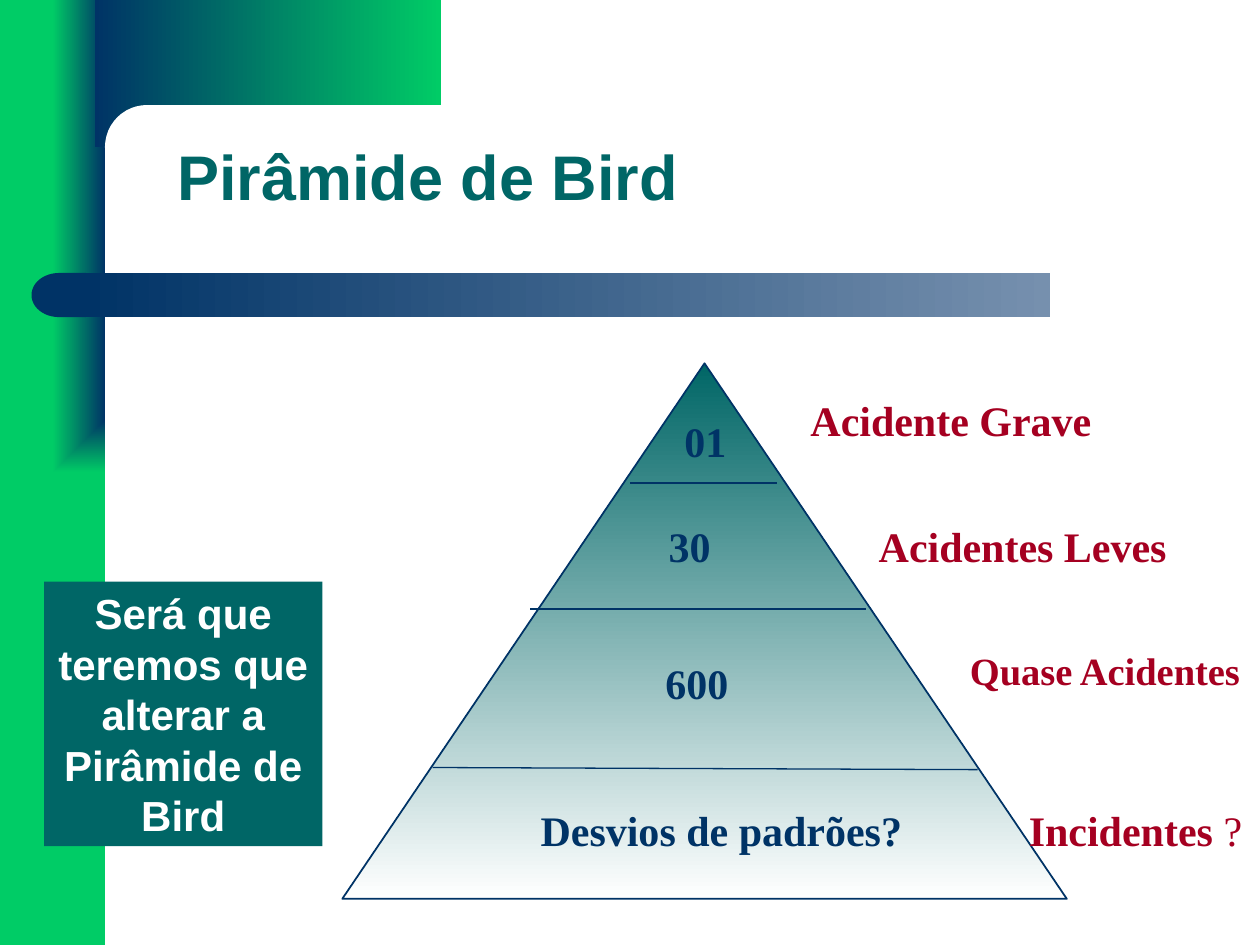
from lxml import etree
from pptx import Presentation
from pptx.dml.color import RGBColor
from pptx.enum.shapes import MSO_CONNECTOR, MSO_SHAPE
from pptx.enum.text import MSO_ANCHOR, PP_ALIGN
from pptx.oxml.ns import qn
from pptx.util import Inches, Pt

CENTER, LEFT = PP_ALIGN.CENTER, PP_ALIGN.LEFT
TOP, MIDDLE, BOTTOM = MSO_ANCHOR.TOP, MSO_ANCHOR.MIDDLE, MSO_ANCHOR.BOTTOM
RECT, ROUND = MSO_SHAPE.RECTANGLE, MSO_SHAPE.ROUNDED_RECTANGLE
DELAY, TRIANGLE = MSO_SHAPE.FLOWCHART_DELAY, MSO_SHAPE.ISOSCELES_TRIANGLE
STRAIGHT = MSO_CONNECTOR.STRAIGHT

COLORS = {
    "navy": "003366", "green": "00CC66", "teal": "006666",
    "white": "FFFFFF", "mist": "7690AE", "red": "A50021",
}
COLUMNS, ROWS = 120, 90
CELL = Inches(10) // COLUMNS

LEVELS = [
    {"number": ("01", 32, 5, 8), "label": ("Acidente Grave", 44, 3, 34),
     "line": (28, 12, 42, 12)},
    {"number": ("30", 30.5, 15, 8), "label": ("Acidentes Leves", 50.5, 15, 34),
     "line": (18.5, 24, 50.5, 24)},
    {"number": ("600", 30.2, 28, 9.4), "label": ("Quase Acidentes", 59.2, 27, 28.8),
     "line": (9.2, 39.1, 61.1, 39.3), "size": 22},
    {"number": ("Desvios de padrões?", 18.3, 42, 38),
     "label": ("Incidentes ", 64.8, 42, 23.2), "tail": "?"},
]


def color(name):
    """Return the named colour."""
    return RGBColor.from_string(COLORS[name])


def cells(*counts):
    """Turn grid counts into lengths."""
    return [round(count * CELL) for count in counts]


def within(box, left, top, width, height):
    """Place an area, counted in cells, relative to the corner of a box."""
    return cells(box[0] + left, box[1] + top, width, height)


def add_block(page, kind, area, fill, angle=0):
    """Add a borderless shape with a solid fill or a pair of gradient colours."""
    block = page.shapes.add_shape(kind, *area)
    block.shadow.inherit = False
    block.line.fill.background()
    if isinstance(fill, str):
        block.fill.solid()
        block.fill.fore_color.rgb = color(fill)
    else:
        block.fill.gradient()
        block.fill.gradient_angle = angle
        for stop, name in zip(block.fill.gradient_stops, fill):
            stop.color.rgb = color(name)
    return block


def fade_from_corner(block):
    """Make a gradient spread from the top right corner."""
    linear = block.element.spPr.find(".//" + qn("a:lin"))
    gradient = linear.getparent()
    gradient.remove(linear)
    route = etree.SubElement(gradient, qn("a:path"), {"path": "rect"})
    etree.SubElement(route, qn("a:fillToRect"), {"l": "100000", "b": "100000"})


def write(shape, spans, tint, size=24, name="Times New Roman", align=LEFT, anchor=TOP):
    """Write one paragraph made of (text, bold) spans."""
    frame = shape.text_frame
    frame.word_wrap = True
    frame.vertical_anchor = anchor
    para = frame.paragraphs[0]
    para.alignment = align
    for text, bold in spans:
        span = para.add_run()
        span.text = text
        for key, value in {"name": name, "size": Pt(size), "bold": bold}.items():
            setattr(span.font, key, value)
        span.font.color.rgb = color(tint)
    return para


def add_frame(page, box):
    """Draw the green side band, the top band and the title bar."""
    side = add_block(page, RECT, within(box, 0, 0, 10, box[3]), ("navy", "green"))
    fade_from_corner(side)
    add_block(page, RECT, within(box, 9, 0, 33, 14), ("navy", "green"))
    corner = add_block(page, ROUND, within(box, 10, 10, 67, 8), "white")
    corner.adjustments[0] = 0.5
    add_block(page, RECT, within(box, 8, 26, 92, 4.2), ("navy", "mist"))
    cap = add_block(page, DELAY, within(box, 3, 26, 5.2, 4.2), "navy")
    cap.element.spPr.find(qn("a:xfrm")).set("flipH", "1")


def add_title(page, box):
    """Place and format the title."""
    title = page.shapes.title
    title.left, title.top, title.width, title.height = cells(*box)
    para = write(title, [("Pirâmide de Bird", True)], "teal", 36, "Arial", CENTER, BOTTOM)
    para.line_spacing = 0.9
    page.shapes._spTree.append(title.element)


def add_label(page, box, place, spans, tint, size=24):
    """Add one line of text in the pyramid region."""
    left, top, width = place
    label = page.shapes.add_textbox(*within(box, left, top, width, 6))
    write(label, spans, tint, size)


def add_divider(page, box, ends):
    """Add a thin line between two levels."""
    start, end = within(box, *ends[:2], 0, 0), within(box, *ends[2:], 0, 0)
    divider = page.shapes.add_connector(STRAIGHT, *start[:2], *end[:2])
    divider.line.color.rgb = color("navy")
    divider.line.width = Pt(0.75)
    etree.SubElement(divider.element.spPr, qn("a:effectLst"))


def add_pyramid(page, box):
    """Draw the pyramid with its levels and labels."""
    pyramid = add_block(page, TRIANGLE, within(box, 0.6, 0.6, 69, 51), ("teal", "white"), 270)
    pyramid.line.color.rgb = color("navy")
    pyramid.line.width = Pt(1)
    for level in LEVELS:
        if "line" in level:
            add_divider(page, box, level["line"])
        number, *place = level["number"]
        add_label(page, box, place, [(number, True)], "navy")
        label, *place = level["label"]
        spans = [(label, True)]
        if "tail" in level:
            spans.append((level["tail"], False))
        add_label(page, box, place, spans, "red", level.get("size", 24))


def add_question(page, box):
    """Add the question in its teal panel."""
    panel = add_block(page, RECT, cells(*box), "teal")
    text = "Será que teremos que alterar a Pirâmide de Bird"
    write(panel, [(text, True)], "white", 24, "Arial", CENTER, MIDDLE)


def main():
    """Build and save the deck."""
    deck = Presentation()
    deck.slide_width, deck.slide_height = cells(COLUMNS, ROWS)
    page = deck.slides.add_slide(deck.slide_layouts[5])
    add_frame(page, (0, 0, COLUMNS, ROWS))
    add_title(page, (12, 10, 57.5, 11))
    add_pyramid(page, (32, 34, 88, 52))
    add_question(page, (4.2, 55.4, 26.5, 25.2))
    deck.save("out.pptx")


if __name__ == "__main__":
    main()
